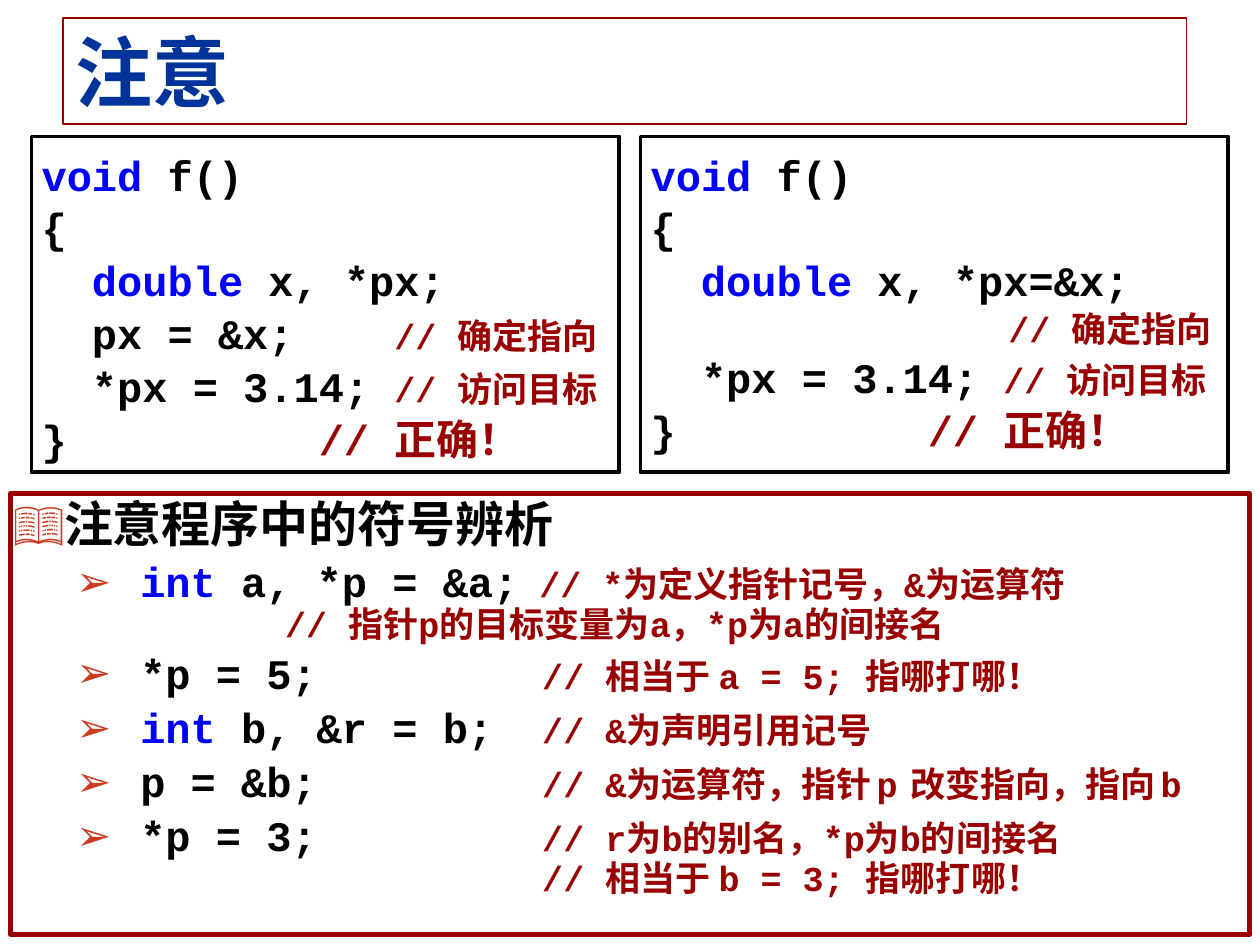
from lxml.etree import SubElement
from pptx import Presentation
from pptx.dml.color import RGBColor
from pptx.enum.shapes import MSO_SHAPE as SHAPE
from pptx.enum.text import MSO_ANCHOR as ANCHOR, MSO_AUTO_SIZE as AUTO, PP_ALIGN as ALIGN
from pptx.oxml.ns import qn
from pptx.util import Inches, Pt

COLORS = {"title": "003399", "key": "0000FF", "code": "000000", "note": "990000",
          "bullet": "CA3B1E", "frame": "990000", "edge": "000000", "paper": "FFFFFF"}
SIZES = {"title": 44, "head": 28, "code": 24, "note": 20, "gap": 12}
FONT = "Courier New"
CELL = Inches(10) // 120  # the slide is a grid of 120 columns by 90 rows


def rgb(name):
    return RGBColor.from_string(COLORS[name])


def place(sp, box, edge, weight):
    sp.left, sp.top, sp.width, sp.height = (int(n * CELL) for n in box)
    sp.line.color.rgb = rgb(edge)
    sp.line.width = Pt(weight)


def set_frame(tf, insets, anchor=ANCHOR.TOP):
    tf.word_wrap, tf.auto_size, tf.vertical_anchor = True, AUTO.NONE, anchor
    tf.margin_left, tf.margin_top, tf.margin_right, tf.margin_bottom = map(Inches, insets)


def set_bullet(p, char, margin, hang):
    pPr = p._p.get_or_add_pPr()
    pPr.set("marL", str(Inches(margin)))
    pPr.set("indent", str(-Inches(hang)))
    color = SubElement(pPr, qn("a:buClr"))
    SubElement(color, qn("a:srgbClr"), val=COLORS["bullet"])
    SubElement(pPr, qn("a:buChar"), char=char)


def set_tab(p, position):
    tabs = SubElement(p._p.get_or_add_pPr(), qn("a:tabLst"))
    SubElement(tabs, qn("a:tab"), pos=str(Inches(position)), algn="l")


def add_runs(p, runs):
    """Each run is (text, color, size); None stands for a line break."""
    for run in runs:
        if run is None:
            p.add_line_break()
            continue
        text, color, size = run
        r = p.add_run()
        r.text = text
        r.font.name, r.font.bold = FONT, True
        r.font.size, r.font.color.rgb = Pt(SIZES[size]), rgb(color)


def paragraphs(tf, count):
    return [tf.paragraphs[0]] + [tf.add_paragraph() for _ in range(count - 1)]


def code(text):
    return text, "code", "code"


def key(text):
    return text, "key", "code"


def note(text, size="note"):
    return text, "note", size


def title_bar(sp, box, text):
    place(sp, box, "frame", 1)
    set_frame(sp.text_frame, (0.1, 0.05, 0.1, 0.05), ANCHOR.MIDDLE)
    p = sp.text_frame.paragraphs[0]
    p.alignment = ALIGN.LEFT
    add_runs(p, [(text, "title", "title")])


def code_box(s, box, middle_lines):
    sp = s.shapes.add_shape(SHAPE.RECTANGLE, 0, 0, CELL, CELL)
    sp.shadow.inherit = False
    sp.fill.solid()
    sp.fill.fore_color.rgb = rgb("paper")
    place(sp, box, "edge", 2.25)
    set_frame(sp.text_frame, (0.08, 0.08, 0, 0.08))
    lines = [(None, [key("void"), code(" f()")]),
             (None, [code("{")]),
             *middle_lines,
             (None, [code("  *px = 3.14; "), note("// 访问目标")]),
             (2.2, [code("}\t"), note("// 正确！", "code")])]
    for p, (tab, runs) in zip(paragraphs(sp.text_frame, len(lines)), lines):
        p.alignment, p.line_spacing = ALIGN.LEFT, 1.05
        if tab:
            set_tab(p, tab)
        add_runs(p, runs)


def symbol_list(sp, box, heading, items):
    place(sp, box, "frame", 3)
    set_frame(sp.text_frame, (0.02, 0.05, 0.1, 0.05))
    head, *rest = paragraphs(sp.text_frame, len(items) + 1)
    head.line_spacing, head.space_before = 0.9, Pt(0)
    set_bullet(head, "📖", 0.38, 0.38)
    add_runs(head, [(heading, "code", "head")])
    for p, (tab, runs) in zip(rest, items):
        p.level, p.line_spacing, p.space_before = 1, 0.9, Pt(5)
        set_bullet(p, "➢", 1.01, 0.51)
        set_tab(p, tab)
        add_runs(p, runs)


def main():
    prs = Presentation()
    prs.slide_width, prs.slide_height = Inches(10), Inches(7.5)
    s = prs.slides.add_slide(prs.slide_layouts[1])

    # Title
    title_bar(s.shapes.title, (6, 1.7, 107, 10.1), "注意")

    # Symbols explained
    gap = (" ", "note", "gap")
    symbol_list(s.placeholders[1], (1, 47, 118, 42), "注意程序中的符号辨析", [
        (2.16, [key("int "), code("a, *p = &a;"), note(" // *为定义指针记号，&为运算符"),
                None, note("\t// 指针p的目标变量为a，*p为a的间接名")]),
        (4.2, [code("*p = 5;\t"), note("// 相当于 a = 5; 指哪打哪！")]),
        (4.2, [key("int "), code("b, &r = b;\t"), note("// &为声明引用记号")]),
        (4.2, [code("p = &b;\t"), note("// &为运算符，指针"), gap, note("p"), gap,
               note("改变指向，指向"), gap, note("b")]),
        (4.2, [code("*p = 3;\t"), note("// r为b的别名，*p为b的间接名"),
               None, note("\t// 相当于 b = 3; 指哪打哪！")]),
    ])

    # Two ways to set the pointer, side by side
    declare = [code("  "), key("double")]
    versions = [
        [(None, declare + [code(" x, *px;")]),
         (2.8, [code("  px = &x;\t"), note("// 确定指向")])],
        [(None, declare + [code(" x, *px=&x;")]),
         (2.84, [note("\t// 确定指向")])],
    ]
    for i, middle_lines in enumerate(versions):
        code_box(s, (3 + 58 * i, 13, 56, 32), middle_lines)

    prs.save("out.pptx")


if __name__ == "__main__":
    main()
